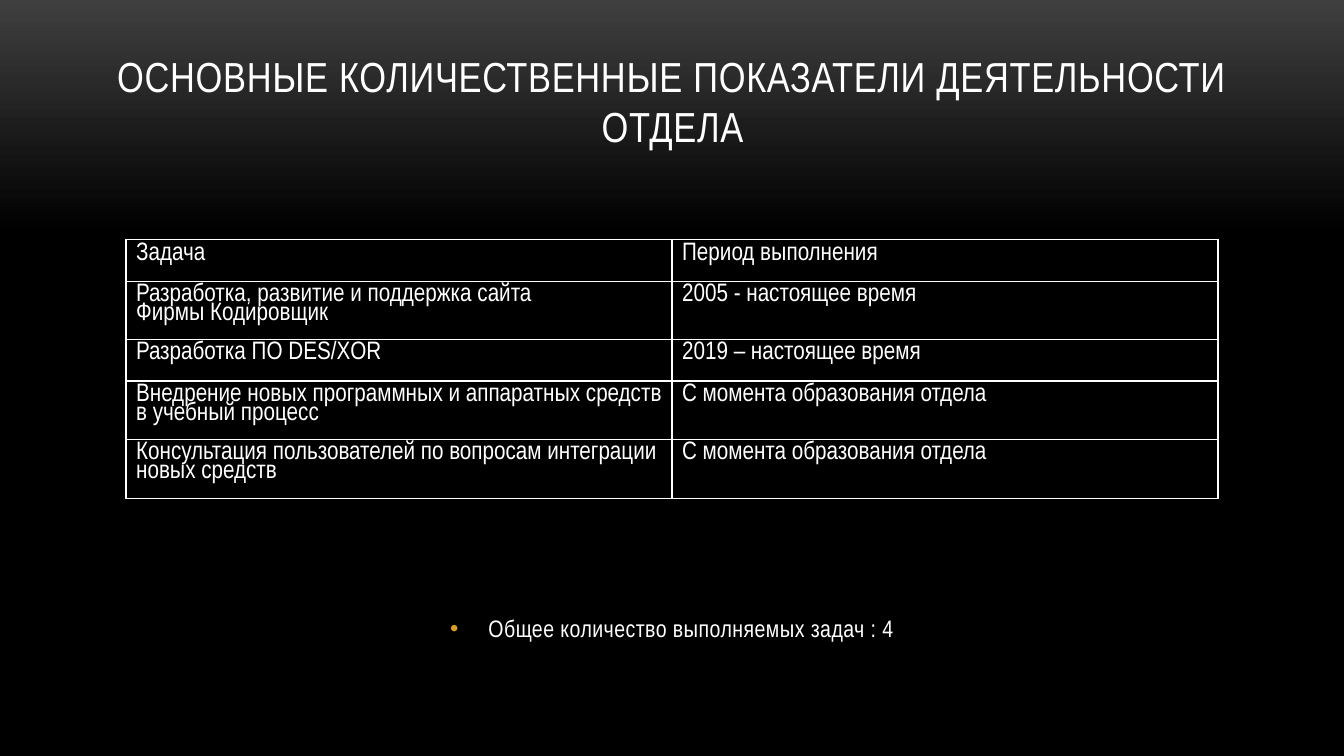
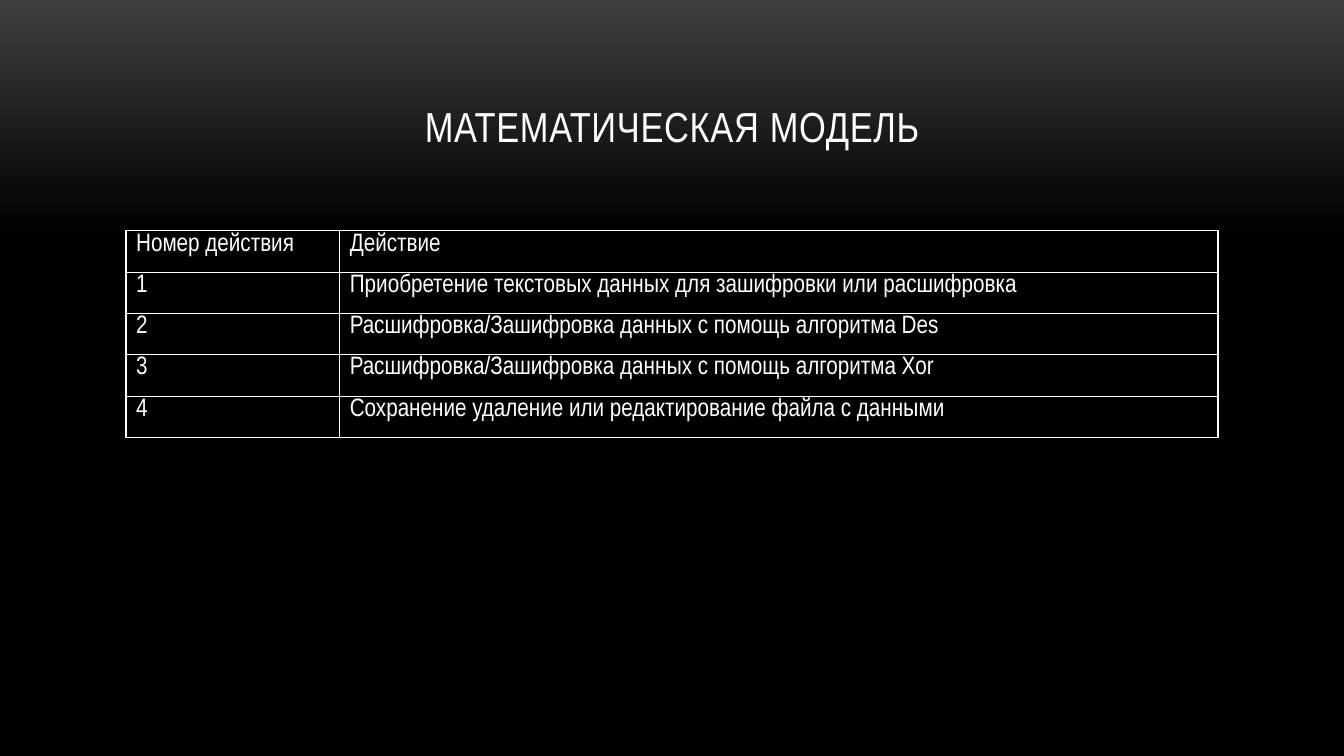
from dataclasses import dataclass

from lxml import etree
from pptx import Presentation
from pptx import util as u
from pptx.dml.color import RGBColor
from pptx.enum import text as t
from pptx.oxml import ns

WHITE = RGBColor(0xFF, 0xFF, 0xFF)
BLACK = RGBColor(0x00, 0x00, 0x00)
CHARCOAL = RGBColor(0x3F, 0x3F, 0x3F)
AMBER = RGBColor(0xDC, 0x9E, 0x1F)
FONT = "Arial Narrow"
CONTENT_LEFT = 1.25
CONTENT_WIDTH = 10.83
ROW_HEIGHT = 0.41


@dataclass(frozen=True)
class TableSlide:
    title: str
    top: float
    first_column: float
    rows: tuple[tuple[str, str], ...]
    summary: str = ""


SLIDES = (
    TableSlide(
        "ОСНОВНЫЕ КОЛИЧЕСТВЕННЫЕ ПОКАЗАТЕЛИ ДЕЯТЕЛЬНОСТИ ОТДЕЛА",
        2.38,
        CONTENT_WIDTH / 2,
        (
            ("Задача", "Период выполнения"),
            ("Разработка, развитие и поддержка сайта\nФирмы Кодировщик",
             "2005 - настоящее время"),
            ("Разработка ПО DES/XOR", "2019 – настоящее время"),
            ("Внедрение новых программных и аппаратных средств в учебный процесс",
             "С момента образования отдела"),
            ("Консультация пользователей по вопросам интеграции новых средств",
             "С момента образования отдела"),
        ),
        "Общее количество выполняемых задач : 4",
    ),
    TableSlide(
        "МАТЕМАТИЧЕСКАЯ МОДЕЛЬ",
        2.29,
        2.12,
        (
            ("Номер действия", "Действие"),
            ("1", "Приобретение текстовых данных для зашифровки или расшифровка"),
            ("2", "Расшифровка/Зашифровка данных с помощь алгоритма Des"),
            ("3", "Расшифровка/Зашифровка данных с помощь алгоритма Xor"),
            ("4", "Сохранение удаление или редактирование файла с данными"),
        ),
    ),
)


def write(frame, text: str, *, size: float, align=t.PP_ALIGN.LEFT,
          tracking: float = 0, line_spacing: float = 1.0) -> None:
    frame.word_wrap = True
    for index, line in enumerate(text.split("\n")):
        paragraph = frame.add_paragraph() if index else frame.paragraphs[0]
        paragraph.alignment = align
        paragraph.line_spacing = line_spacing
        run = paragraph.add_run()
        run.text = line
        run.font.size = u.Pt(size)
        run.font.name = FONT
        run.font.color.rgb = WHITE
        if tracking:
            run.font._element.set("spc", str(round(tracking * 100)))


def add_bullet(paragraph, color: RGBColor, indent: float) -> None:
    properties = paragraph._p.get_or_add_pPr()
    properties.set("marL", str(u.Inches(indent)))
    properties.set("indent", str(-u.Inches(indent)))
    bullet_color = etree.SubElement(properties, ns.qn("a:buClr"))
    etree.SubElement(bullet_color, ns.qn("a:srgbClr"), val=str(color))
    etree.SubElement(properties, ns.qn("a:buFont"), typeface="Arial")
    etree.SubElement(properties, ns.qn("a:buChar"), char="•")


def add_borders(cell, color: RGBColor, width: float) -> None:
    properties = cell._tc.get_or_add_tcPr()
    for side in ("L", "R", "T", "B"):
        line = etree.SubElement(properties, ns.qn(f"a:ln{side}"), w=str(u.Pt(width)))
        fill = etree.SubElement(line, ns.qn("a:solidFill"))
        etree.SubElement(fill, ns.qn("a:srgbClr"), val=str(color))


def add_title(slide, title: str) -> None:
    shape = slide.shapes.add_textbox(
        u.Inches(0.89), u.Inches(0.3), u.Inches(11.56), u.Inches(1.25))
    shape.text_frame.vertical_anchor = t.MSO_ANCHOR.BOTTOM
    write(shape.text_frame, title, size=30, align=t.PP_ALIGN.CENTER, tracking=0.5)


def add_grid(slide, content: TableSlide) -> None:
    table = slide.shapes.add_table(
        len(content.rows), 2, u.Inches(CONTENT_LEFT), u.Inches(content.top),
        u.Inches(CONTENT_WIDTH), u.Inches(ROW_HEIGHT * len(content.rows))).table
    table.first_row = False
    table.horz_banding = False
    table.columns[0].width = u.Inches(content.first_column)
    table.columns[1].width = u.Inches(CONTENT_WIDTH - content.first_column)
    for row, texts in zip(table.rows, content.rows):
        row.height = u.Inches(ROW_HEIGHT)
        for cell, text in zip(row.cells, texts):
            add_borders(cell, WHITE, 1)
            cell.fill.background()
            write(cell.text_frame, text, size=18, line_spacing=0.8)


def add_summary(slide, summary: str) -> None:
    shape = slide.shapes.add_textbox(
        u.Inches(CONTENT_LEFT), u.Inches(5.61), u.Inches(CONTENT_WIDTH), u.Inches(1.26))
    frame = shape.text_frame
    frame.margin_top = u.Inches(0.48)
    write(frame, summary, size=17, align=t.PP_ALIGN.CENTER, tracking=0.3)
    add_bullet(frame.paragraphs[0], AMBER, 0.38)


def set_background(master) -> None:
    fill = master.background.fill
    fill.gradient()
    fill.gradient_angle = 270
    for stop, color, position in zip(fill.gradient_stops, (CHARCOAL, BLACK), (0, 0.31)):
        stop.color.rgb = color
        stop.position = position


def main() -> None:
    presentation = Presentation()
    presentation.slide_width = u.Inches(13.33)
    presentation.slide_height = u.Inches(7.5)
    set_background(presentation.slide_master)
    for content in SLIDES:
        slide = presentation.slides.add_slide(presentation.slide_layouts[6])
        add_title(slide, content.title)
        add_grid(slide, content)
        if content.summary:
            add_summary(slide, content.summary)
    presentation.save("out.pptx")


main()
